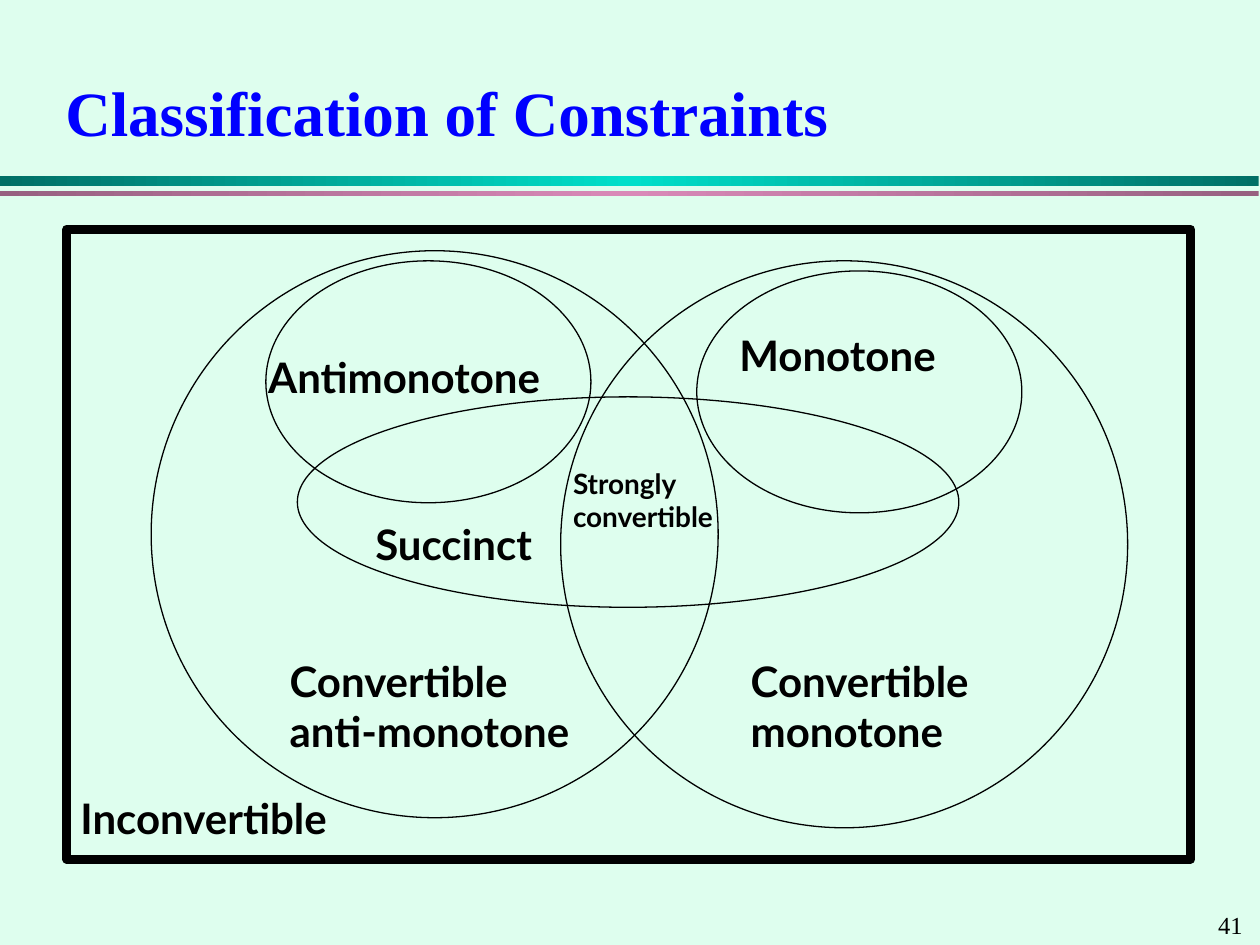
from copy import deepcopy

from pptx import Presentation
from pptx.dml.color import RGBColor
from pptx.enum.shapes import MSO_SHAPE
from pptx.enum.text import MSO_ANCHOR
from pptx.util import Pt

RECTANGLE = MSO_SHAPE.RECTANGLE
ELLIPSE = MSO_SHAPE.OVAL
TOP = MSO_ANCHOR.TOP
MIDDLE = MSO_ANCHOR.MIDDLE

COLOURS = {
    "background": "DEFEEE",
    "title": "0000FF",
    "ink": "000000",
    "teal_dark": "006F65",
    "teal_light": "00DFCA",
    "pink_dark": "976080",
    "pink_light": "D989B8",
}

FORMATS = {
    "title": {"name": "Times New Roman", "size": Pt(36), "bold": True},
    "number": {"name": "Times New Roman", "size": Pt(14), "bold": False},
    "label": {"name": "Lato", "size": Pt(24), "bold": True},
    "small": {"name": "Lato", "size": Pt(16), "bold": True},
}

BANDS = [
    (100.8, 5.76, "teal_dark", "teal_light"),
    (109.44, 2.88, "pink_dark", "pink_light"),
]

CIRCLE = (324, 324)
OVAL = (185.76, 138.24)
SETS = [
    (86.4, 143.28, CIRCLE),
    (320.4, 149.04, CIRCLE),
    (169.92, 226.8, (378, 120.24)),
    (398.16, 154.8, OVAL),
    (151.92, 149.04, OVAL),
]

LABELS = [
    (["Convertible", "anti-monotone"], (158.4, 370.8, 194.4, 64.8), "label", False),
    (["Convertible", "monotone"], (421.92, 370.8, 153.36, 64.8), "label", False),
    (["Strongly", "convertible"], (320.4, 262.8, 120.24, 46.08), "small", True),
    (["Inconvertible"], (38.88, 449.28, 175.68, 36), "label", False),
    (["Succinct"], (207.36, 293.04, 113.76, 36), "label", False),
    (["Antimonotone"], (146.16, 197.28, 185.76, 64.8), "label", True),
    (["Monotone"], (415.44, 185.04, 137.52, 36), "label", False),
]


def colour(key):
    return RGBColor.from_string(COLOURS[key])


class Page:
    def __init__(self, deck):
        self.slide = deck.slides.add_slide(deck.slide_layouts[6])
        fill = self.slide.background.fill
        fill.solid()
        fill.fore_color.rgb = colour("background")

    def shape(self, kind, place):
        shape = self.slide.shapes.add_shape(kind, *map(Pt, place))
        shape.shadow.inherit = False
        return shape

    def outline(self, kind, place, width):
        shape = self.shape(kind, place)
        shape.fill.background()
        shape.line.color.rgb = colour("ink")
        shape.line.width = Pt(width)

    def band(self, place, edge, centre):
        shape = self.shape(RECTANGLE, place)
        shape.line.fill.background()
        shape.fill.gradient()
        shape.fill.gradient_angle = 0
        stop_list = shape.element.xpath(".//a:gsLst")[0]
        stop_list.append(deepcopy(stop_list[-1]))
        keys = (edge, centre, edge)
        for index, (stop, key) in enumerate(zip(shape.fill.gradient_stops, keys)):
            stop.position = index / 2
            stop.color.rgb = colour(key)

    def text(self, lines, place, style, wrap=True, anchor=TOP, ink="ink"):
        box = self.slide.shapes.add_textbox(*map(Pt, place))
        frame = box.text_frame
        frame.word_wrap = wrap
        frame.vertical_anchor = anchor
        for index, line in enumerate(lines):
            para = frame.add_paragraph() if index else frame.paragraphs[0]
            span = para.add_run()
            span.text = line
            for name, value in FORMATS[style].items():
                setattr(span.font, name, value)
            span.font.color.rgb = colour(ink)


def main():
    deck = Presentation()
    deck.slide_width, deck.slide_height = Pt(720), Pt(540)
    page = Page(deck)
    for top, height, edge, centre in BANDS:
        page.band((0, top, 719.28, height), edge, centre)
    page.text(["41"], (689.04, 516.24, 30.96, 24.48), "number")
    page.text(["Classification of Constraints"], (30.24, 30.24, 660.24, 66.24),
              "title", anchor=MIDDLE, ink="title")
    page.outline(RECTANGLE, (38.16, 131.04, 642.24, 360), 5)
    for left, top, size in SETS:
        page.outline(ELLIPSE, (left, top, *size), 0.75)
    for lines, place, style, wrap in LABELS:
        page.text(lines, place, style, wrap)
    deck.save("out.pptx")


if __name__ == "__main__":
    main()
